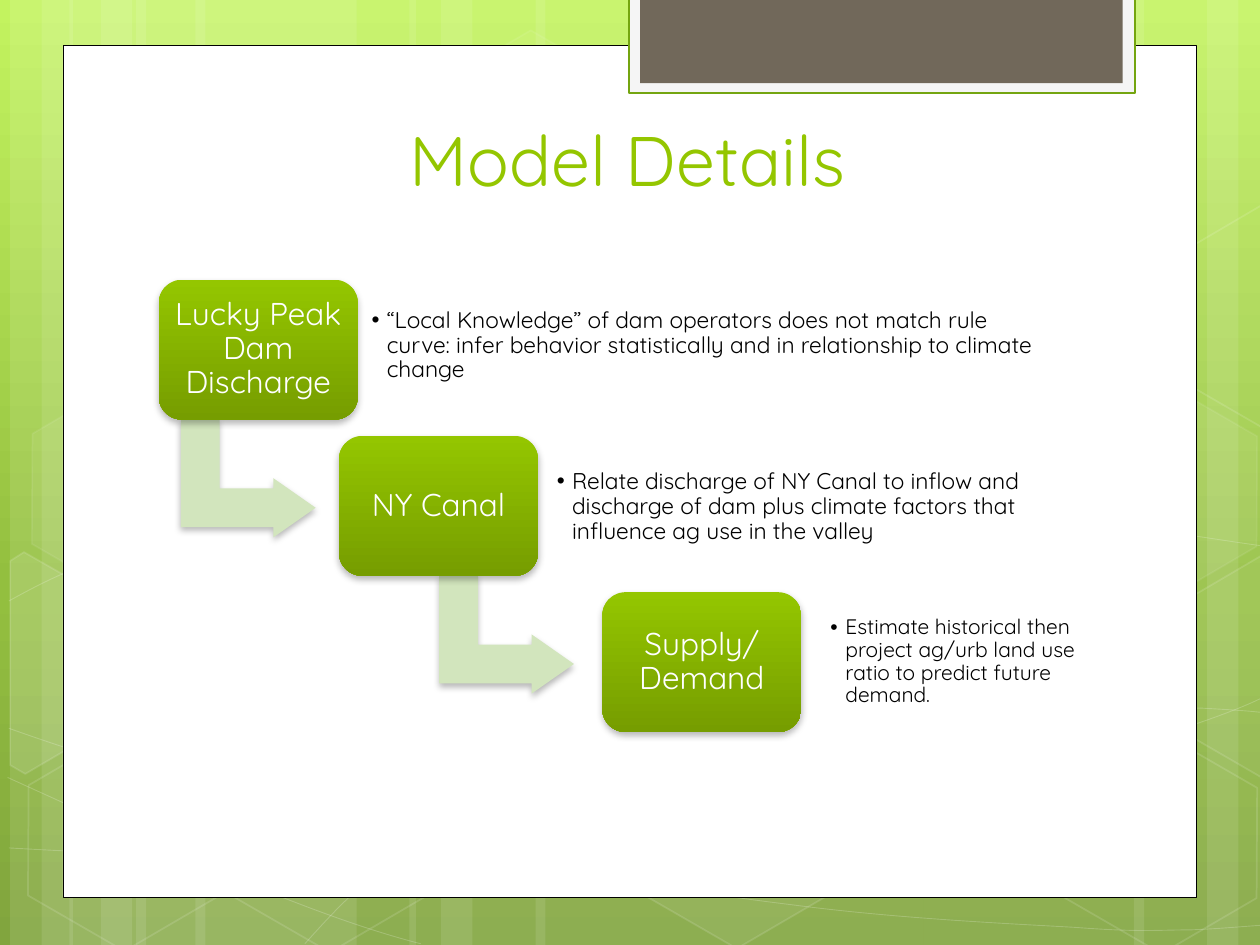
from copy import deepcopy
from dataclasses import dataclass
from math import cos, radians, sin
from typing import NamedTuple

from lxml.etree import SubElement
from pptx import Presentation
from pptx.dml.color import RGBColor
from pptx.enum.shapes import MSO_SHAPE
from pptx.enum.text import MSO_ANCHOR, MSO_AUTO_SIZE, PP_ALIGN
from pptx.oxml.ns import qn
from pptx.util import Cm, Pt


@dataclass(frozen=True)
class Theme:
    font: str = "Quicksand"
    white: str = "FFFFFF"
    black: str = "000000"
    green: str = "94C600"
    deep: str = "769D00"
    edge: str = "74A510"
    pale: str = "D2E5BD"
    mist: str = "F5F5F5"
    brown: str = "71685A"
    sky: tuple = ((0, "C3F35F"), (0.62, "93BF3F"), (1, "81A53E"))
    title: int = 40
    label: int = 18
    note: int = 13
    small: int = 12


class Step(NamedTuple):
    left: float
    label: str
    note: str
    spot: tuple       # left, top, width, height of the note
    size: int
    arrow: float      # left of the arrow to the next step, 0 for none


class Hexagon(NamedTuple):
    left: float
    top: float
    fill: int         # percent opaque, 0 for none
    line: int


class Cell(NamedTuple):
    points: list      # corners of a cut hexagon
    hub: tuple        # point it turns about
    fill: int
    line: int


LOOK = Theme()
TILT = 30
STRIPES = [(1.08, 1.75), (0.08, 0.5), (0.33, 0.83), (1.55, 1.75), (0.55, 0.5), (0.8, 0.83),
           (7.33, 1.75), (9.58, 0.5), (9, 0.83), (4.25, 3.08), (3.25, 0.5), (3.5, 0.83)]
# Each curve: a start, then Bezier triples
CURVES = [
    [(0.07, 6.73), (0.61, 6.76), (1.15, 6.79), (1.9, 6.78), (2.65, 6.77), (3.58, 6.75),
     (4.58, 6.65), (5.58, 6.55), (7, 6.36), (7.92, 6.17), (8.83, 5.98), (9.77, 5.68), (10.07, 5.51)],
    [(0.07, 4.77), (0.36, 4.61), (0.65, 4.46), (1.21, 4.31), (1.78, 4.16), (2.59, 3.94),
     (3.47, 3.87), (4.36, 3.8), (5.44, 3.79), (6.54, 3.87), (7.64, 3.95), (9.47, 4.26), (10.07, 4.34)],
    [(0.06, 6.17), (1.27, 6.72), (2.47, 7.27), (3.34, 7.49)],
    [(0.07, 5.78), (0.38, 5.89), (0.7, 6), (1.28, 6.16), (1.86, 6.31), (2.73, 6.56), (3.57, 6.73),
     (4.4, 6.9), (5.45, 7.08), (6.28, 7.18), (7.11, 7.29), (8, 7.33), (8.53, 7.36),
     (9.05, 7.4), (9.19, 7.38), (9.45, 7.38), (9.71, 7.37), (9.89, 7.35), (10.07, 7.34)],
    [(2.42, 7.49), (2.6, 7.29), (2.78, 7.09), (3.02, 6.91), (3.26, 6.73), (3.6, 6.53), (3.88, 6.39),
     (4.16, 6.25), (4.33, 6.19), (4.7, 6.09), (5.06, 5.99), (5.73, 5.85), (6.08, 5.78),
     (6.44, 5.71), (6.49, 5.71), (6.8, 5.69), (7.11, 5.66), (7.6, 5.63), (7.94, 5.62),
     (8.29, 5.61), (8.86, 5.62), (8.86, 5.62), (9.08, 5.62), (9.3, 5.62), (9.53, 5.62),
     (9.71, 5.63), (9.88, 5.64), (9.97, 5.65), (10.06, 5.66), (10.03, 5.65), (10.06, 5.66)],
]
HEXES = [Hexagon(3.34, 0.36, 4, 8), Hexagon(4.97, 5.89, 6, 12), Hexagon(0.11, 5.91, 0, 12),
         Hexagon(0.14, 3.12, 7, 8), Hexagon(1.74, 5.92, 0, 12), Hexagon(7.53, 4.53, 10, 12),
         Hexagon(8.34, 5.93, 0, 12), Hexagon(8.34, 3.14, 7, 8)]
RIGHT = [(9.26, 4.85), (10.01, 4.41), (10.09, 4.46), (10.09, 6.13), (10.02, 6.17), (9.26, 5.73)]
CELLS = [Cell([(0.08, 4.45), (0.19, 4.38), (0.96, 4.82), (0.95, 5.7), (0.2, 6.14), (0.08, 6.07)],
              (0.36, 5.35), 10, 12),
         Cell(RIGHT, (9.85, 5.2), 4, 12),
         Cell([(x, y - 2.78) for x, y in RIGHT], (9.85, 2.42), 0, 12)]
STEPS = [
    Step(1.26, "Lucky Peak Dam Discharge",
         "“Local Knowledge” of dam operators does not match rule curve: infer behavior "
         "statistically and in relationship to climate change", (2.88, 2.3, 5.4, 0.89), LOOK.note, 1.5),
    Step(2.69, "NY Canal",
         "Relate discharge of NY Canal to inflow and discharge of dam plus climate factors "
         "that influence ag use in the valley", (4.35, 3.58, 4.09, 0.89), LOOK.note, 3.55),
    Step(4.78, "Supply/Demand",
         "Estimate historical then project ag/urb land use ratio to predict future demand.",
         (6.52, 4.81, 2.4, 0.89), LOOK.small, 0),
]


def unit(n: float) -> int:
    """A length on the slide's grid, ten units wide."""
    return Cm(n * 2.54)


def place(shape, left: float, top: float, width: float, height: float) -> None:
    shape.left, shape.top, shape.width, shape.height = map(unit, (left, top, width, height))


def paint(part, color: str, root, alpha: int = 100) -> None:
    """Fill solid; root is the element that holds the fill."""
    part.solid()
    part.fore_color.rgb = RGBColor.from_string(color)
    if alpha < 100:
        tone = root.find(qn("a:solidFill")).find(qn("a:srgbClr"))
        SubElement(tone, qn("a:alpha"), val=str(alpha * 1000))


def shade(fill, root, stops: tuple) -> None:
    fill.gradient()
    fill.gradient_angle = 270
    rows = root.find(".//" + qn("a:gsLst"))
    for _ in stops[2:]:
        rows.append(deepcopy(rows[0]))
    for stop, (at, color) in zip(fill.gradient_stops, stops):
        stop.position = at
        stop.color.rgb = RGBColor.from_string(color)


def style(shape, fill: str = "", alpha: int = 100, line: str = "",
          width: float = 1, fade: int = 100) -> None:
    shape.shadow.inherit = False
    props = shape.element.spPr
    if fill and alpha:
        paint(shape.fill, fill, props, alpha)
    else:
        shape.fill.background()
    if line:
        shape.line.width = Pt(width)
        paint(shape.line.fill, line, props.find(qn("a:ln")), fade)
    else:
        shape.line.fill.background()


def block(slide, kind, box: tuple, **look):
    shape = slide.shapes.add_shape(kind, *map(unit, box))
    style(shape, **look)
    return shape


def trace(slide, points: list, close: bool, **look):
    dots = [(unit(x), unit(y)) for x, y in points]
    pen = slide.shapes.build_freeform(*dots[0])
    pen.add_line_segments(dots[1:], close=close)
    shape = pen.convert_to_shape()
    style(shape, **look)
    return shape


def curve(shape) -> None:
    """Turn each three line segments into one Bezier segment."""
    lines = list(shape.element.iter(qn("a:lnTo")))
    for i in range(0, len(lines), 3):
        bend = SubElement(lines[i].getparent(), qn("a:cubicBezTo"))
        for line in lines[i:i + 3]:
            bend.append(line[0])
            line.getparent().remove(line)


def turn(points: list, hub: tuple, angle: float) -> list:
    c, s = cos(radians(angle)), sin(radians(angle))
    steps = [(x - hub[0], y - hub[1]) for x, y in points]
    return [(hub[0] + x * c - y * s, hub[1] + x * s + y * c) for x, y in steps]


def drop(shape) -> None:
    """Soft shadow below the shape."""
    glow = SubElement(shape.element.spPr.find(qn("a:effectLst")), qn("a:outerShdw"),
                      blurRad=str(Pt(4)), dist=str(Pt(2)), dir="5400000", rotWithShape="0")
    tone = SubElement(glow, qn("a:srgbClr"), val=LOOK.black)
    SubElement(tone, qn("a:alpha"), val="28000")


def write(shape, text: str, size: int, color: str, align=PP_ALIGN.CENTER,
          anchor=MSO_ANCHOR.MIDDLE, inset: tuple = (0.07, 0.07), space: float = 0.9):
    frame = shape.text_frame
    frame.text = text
    frame.word_wrap, frame.auto_size = True, MSO_AUTO_SIZE.NONE
    frame.vertical_anchor = anchor
    frame.margin_left = frame.margin_right = unit(inset[0])
    frame.margin_top = frame.margin_bottom = unit(inset[1])
    para = frame.paragraphs[0]
    para.alignment, para.line_spacing, para.space_before = align, space, Pt(0)
    font = para.runs[0].font
    font.name, font.size, font.bold = LOOK.font, Pt(size), False
    font.color.rgb = RGBColor.from_string(color)
    return para


def draw(slide, step: Step, top: float, body) -> None:
    if step.arrow:
        arrow = block(slide, MSO_SHAPE.BENT_UP_ARROW, (step.arrow, top + 1.04, 0.94, 1.07), fill=LOOK.pale)
        arrow.rotation = 90
        for i, value in enumerate((0.328, 0.25, 0.358)):
            arrow.adjustments[i] = value
        drop(arrow)
    card = block(slide, MSO_SHAPE.ROUNDED_RECTANGLE, (step.left, top, 1.58, 1.11))
    shade(card.fill, card.element.spPr, ((0, LOOK.green), (1, LOOK.deep)))
    drop(card)
    write(card, step.label, LOOK.label, LOOK.white)
    # Bulleted note beside the card
    place(body, *step.spot)
    para = write(body, step.note, step.size, LOOK.black, PP_ALIGN.LEFT)
    props = para._p.get_or_add_pPr()
    props.set("marL", str(unit(0.12)))
    props.set("indent", str(-unit(0.12)))
    SubElement(props, qn("a:buChar"), char="•")
    slide.shapes.element.append(body.element)


def main() -> None:
    deck = Presentation()
    deck.slide_width, deck.slide_height = unit(10), unit(7.5)
    slide = deck.slides.add_slide(deck.slide_layouts.get_by_name("Comparison"))
    title, *bodies, spare = slide.placeholders
    spare.element.getparent().remove(spare.element)

    # Backdrop
    shade(slide.background.fill, slide.element, LOOK.sky)
    for left, width in STRIPES:
        block(slide, MSO_SHAPE.RECTANGLE, (left, 0, width, 7.5), fill=LOOK.white, alpha=10)
    for knots in CURVES:
        curve(trace(slide, knots, False, line=LOOK.white, width=0.5, fade=20))
    for item in HEXES:
        tile = block(slide, MSO_SHAPE.HEXAGON, (item.left, item.top, 1.75, 1.52),
                     fill=LOOK.white, alpha=item.fill, line=LOOK.white, fade=item.line)
        tile.adjustments[0] = 0.285
        tile.rotation = TILT
    for cell in CELLS:
        tile = trace(slide, turn(cell.points, cell.hub, -TILT), True, fill=LOOK.white,
                     alpha=cell.fill, line=LOOK.white, fade=cell.line)
        tile.rotation = TILT

    # Panel and tab
    block(slide, MSO_SHAPE.RECTANGLE, (0.5, 0.36, 9, 6.76), fill=LOOK.white, line=LOOK.black, width=0.5)
    block(slide, MSO_SHAPE.RECTANGLE, (4.99, -0.02, 4.02, 0.76), fill=LOOK.mist, line=LOOK.edge, width=1.25)
    block(slide, MSO_SHAPE.RECTANGLE, (5.08, -0.02, 3.83, 0.68), fill=LOOK.brown)

    # Title
    place(title, 1.14, 0.39, 7.68, 1.25)
    write(title, "Model Details", LOOK.title, LOOK.green, anchor=MSO_ANCHOR.BOTTOM, inset=(0.1, 0.05), space=1)
    slide.shapes.element.append(title.element)

    # Steps going down to the right
    for i, (step, body) in enumerate(zip(STEPS, bodies)):
        draw(slide, step, 2.22 + 1.24 * i, body)
    deck.save("out.pptx")


if __name__ == "__main__":
    main()
